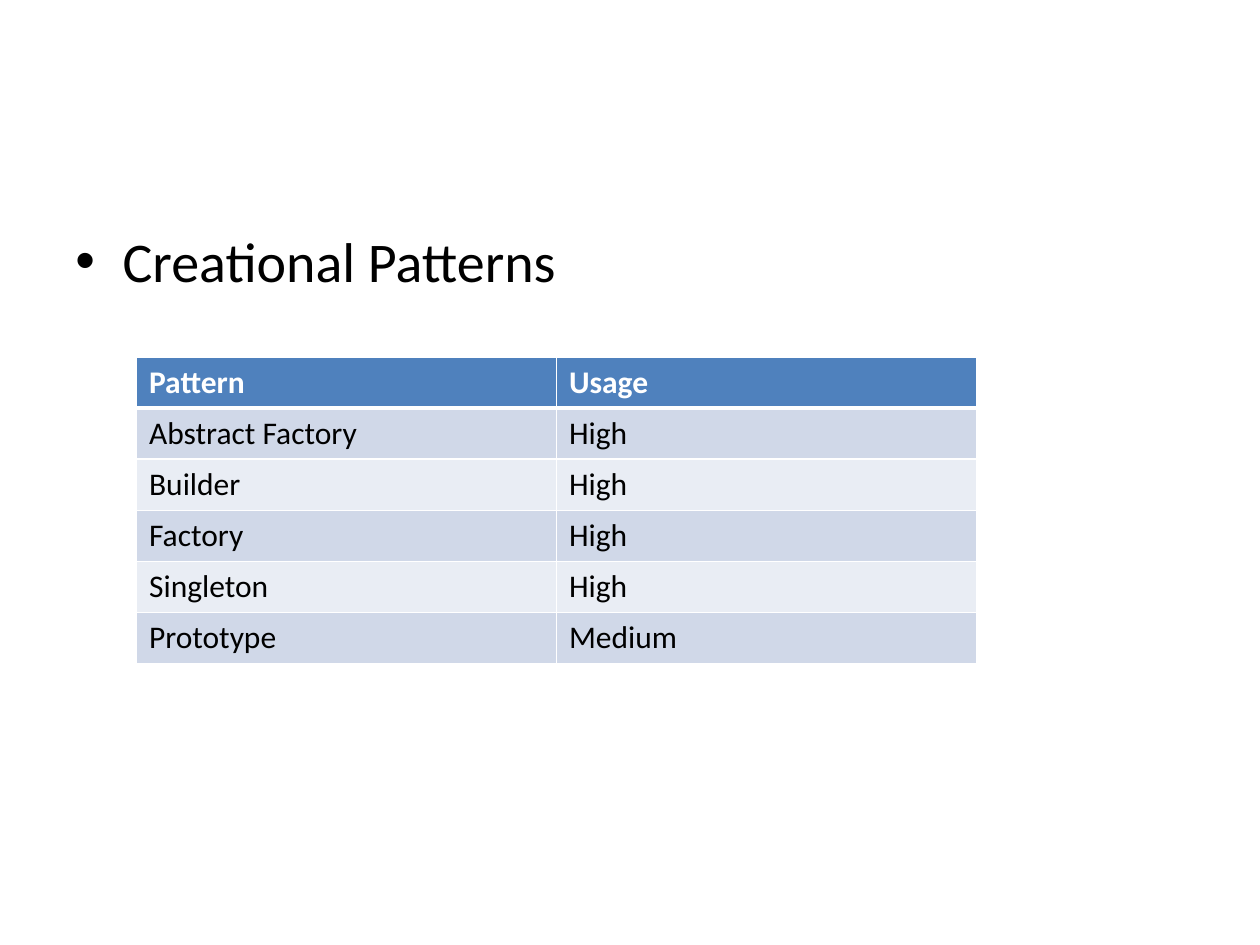
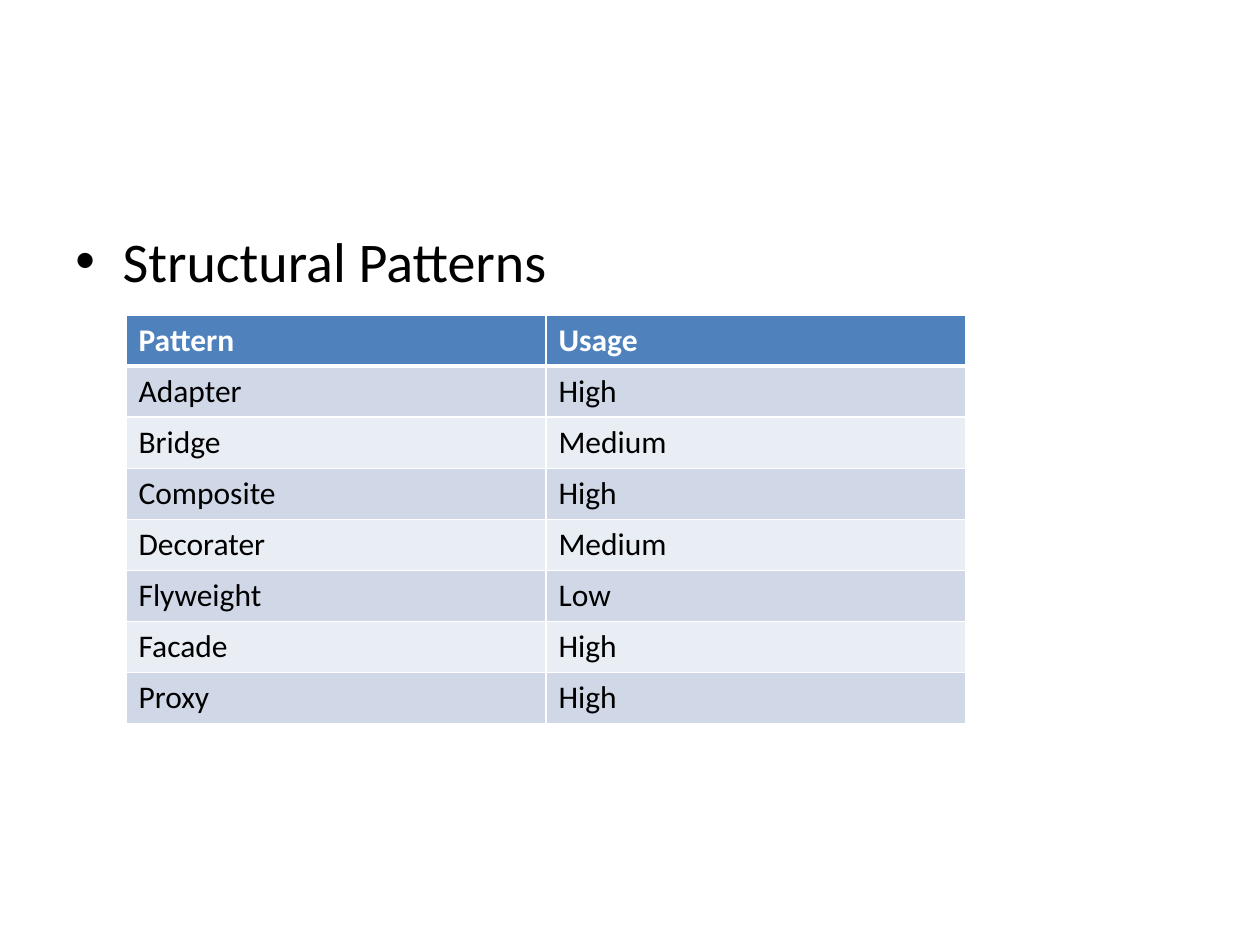
from dataclasses import dataclass

import lxml.etree
import pptx
import pptx.dml.color
import pptx.enum.text
import pptx.oxml.ns
import pptx.slide
import pptx.table
import pptx.text.text
import pptx.util

RGBColor = pptx.dml.color.RGBColor
WHITE = RGBColor(0xFF, 0xFF, 0xFF)
BLACK = RGBColor(0x00, 0x00, 0x00)
HEADER_BLUE = RGBColor(0x4F, 0x81, 0xBD)
BANDS = (RGBColor(0xD0, 0xD8, 0xE8), RGBColor(0xE9, 0xED, 0xF4))
FONT = "Calibri"

SLIDE_W, SLIDE_H = pptx.util.Inches(10), pptx.util.Inches(7.5)
GRID_COLS = 120
UNIT = SLIDE_W / GRID_COLS
BODY_BOX = (6, 21, 108, 59.4)
COLUMN_W, ROW_H = 40, 4.87
BULLET_INDENT = 4.5
HEADER = ("Pattern", "Usage")


@dataclass(frozen=True)
class PatternSlide:
    heading: str
    col: float
    row: float
    patterns: tuple[tuple[str, str], ...]


SLIDES = (
    PatternSlide("Creational Patterns", 13, 34, (
        ("Abstract Factory", "High"),
        ("Builder", "High"),
        ("Factory", "High"),
        ("Singleton", "High"),
        ("Prototype", "Medium"),
    )),
    PatternSlide("Structural Patterns", 12, 30, (
        ("Adapter", "High"),
        ("Bridge", "Medium"),
        ("Composite", "High"),
        ("Decorater", "Medium"),
        ("Flyweight", "Low"),
        ("Facade", "High"),
        ("Proxy", "High"),
    )),
)


def grid(units: float) -> pptx.util.Emu:
    return pptx.util.Emu(round(units * UNIT))


def sub(parent: lxml.etree._Element, tag: str, **attrs: str) -> lxml.etree._Element:
    return lxml.etree.SubElement(parent, pptx.oxml.ns.qn(tag), attrs)


def write(tf: pptx.text.text.TextFrame, text: str, *, size: float,
          color: RGBColor = BLACK, bold: bool = False, bullet: bool = False) -> None:
    p = tf.paragraphs[0]
    r = p.add_run()
    r.text = text
    r.font.name, r.font.size, r.font.bold = FONT, pptx.util.Pt(size), bold
    r.font.color.rgb = color
    if bullet:
        pPr = p._p.get_or_add_pPr()
        pPr.set("marL", str(grid(BULLET_INDENT)))
        pPr.set("indent", str(-grid(BULLET_INDENT)))
        sub(sub(pPr, "a:spcBef"), "a:spcPct", val="20000")
        sub(pPr, "a:buFont", typeface="Arial")
        sub(pPr, "a:buChar", char="•")


def add_heading(s: pptx.slide.Slide, text: str) -> None:
    tf = s.shapes.add_textbox(*map(grid, BODY_BOX)).text_frame
    tf.word_wrap = True
    tf.auto_size = pptx.enum.text.MSO_AUTO_SIZE.NONE
    write(tf, text, size=32, bullet=True)


def set_borders(cell: pptx.table._Cell, top: float, bottom: float) -> None:
    tcPr = cell._tc.get_or_add_tcPr()
    for side, width in (("L", 1), ("R", 1), ("T", top), ("B", bottom)):
        ln = sub(tcPr, f"a:ln{side}", w=str(pptx.util.Pt(width)))
        sub(sub(ln, "a:solidFill"), "a:srgbClr", val=str(WHITE))


def add_pattern_table(s: pptx.slide.Slide, data: PatternSlide) -> None:
    rows = (HEADER, *data.patterns)
    table = s.shapes.add_table(
        len(rows), len(HEADER), grid(data.col), grid(data.row),
        grid(COLUMN_W * len(HEADER)), grid(ROW_H * len(rows))).table
    for i, values in enumerate(rows):
        is_header = i == 0
        table.rows[i].height = grid(ROW_H)
        for j, value in enumerate(values):
            cell = table.cell(i, j)
            set_borders(cell, top=3 if i == 1 else 1, bottom=3 if is_header else 1)
            cell.fill.solid()
            cell.fill.fore_color.rgb = HEADER_BLUE if is_header else BANDS[(i - 1) % 2]
            write(cell.text_frame, value, size=18, bold=is_header,
                  color=WHITE if is_header else BLACK)


def main() -> None:
    prs = pptx.Presentation()
    prs.slide_width, prs.slide_height = SLIDE_W, SLIDE_H
    for data in SLIDES:
        s = prs.slides.add_slide(prs.slide_layouts[6])
        add_heading(s, data.heading)
        add_pattern_table(s, data)
    prs.save("out.pptx")


if __name__ == "__main__":
    main()
